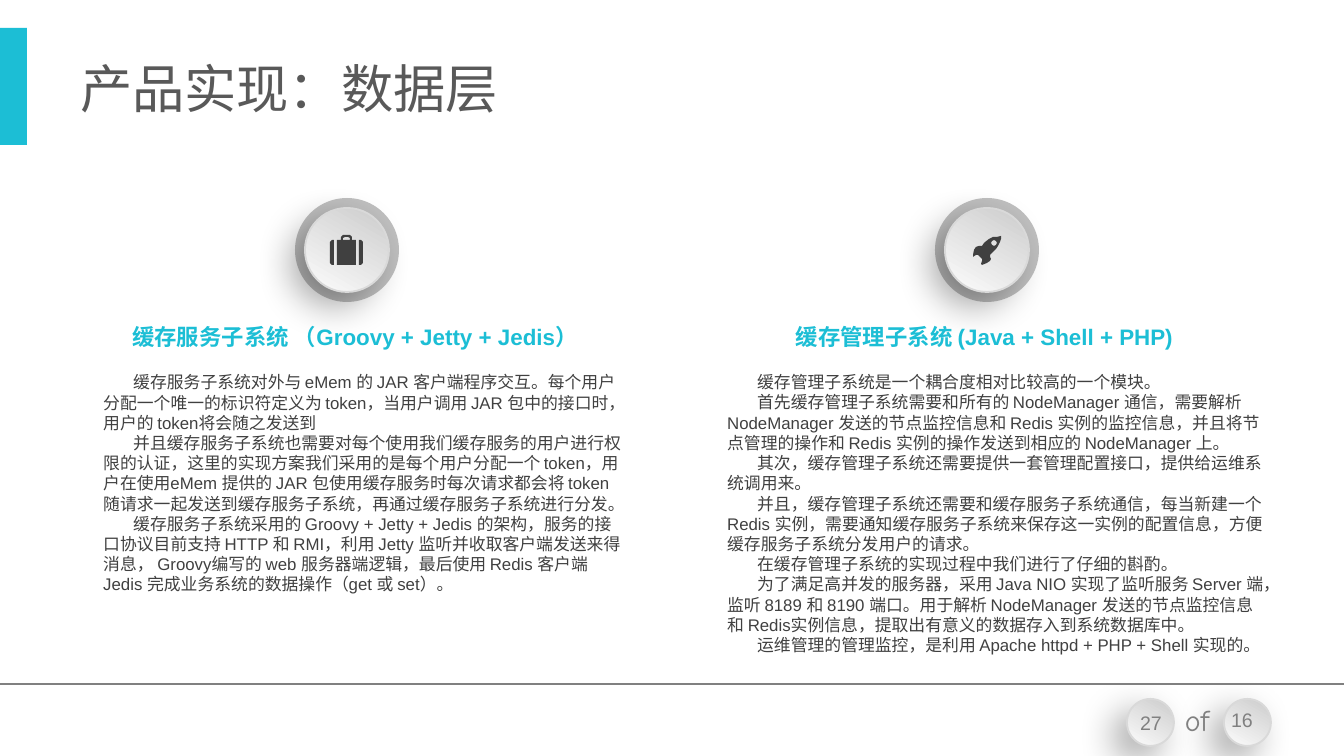
from dataclasses import dataclass

from lxml import etree
from pptx import Presentation
from pptx.dml.color import RGBColor
from pptx.enum.shapes import MSO_CONNECTOR, MSO_SHAPE
from pptx.enum.text import MSO_ANCHOR, PP_ALIGN
from pptx.oxml.ns import qn
from pptx.util import Pt

PX = 914400 / 134.4
OVAL, RECT = MSO_SHAPE.OVAL, MSO_SHAPE.RECTANGLE
STRAIGHT = MSO_CONNECTOR.STRAIGHT
TOP, MIDDLE = MSO_ANCHOR.TOP, MSO_ANCHOR.MIDDLE
LEFT, CENTER, RIGHT = PP_ALIGN.LEFT, PP_ALIGN.CENTER, PP_ALIGN.RIGHT

CYAN = RGBColor(0x1C, 0xBE, 0xD5)
TITLE_GRAY = RGBColor(0x59, 0x59, 0x59)
DARK = RGBColor(0x40, 0x40, 0x40)
MID_GRAY = RGBColor(0x80, 0x80, 0x80)
RING_GRAY = RGBColor(0xBF, 0xBF, 0xBF)
EDGE_GRAY = RGBColor(0xD9, 0xD9, 0xD9)
SHADE = RGBColor(0xCC, 0xCC, 0xCC)
LIGHT = RGBColor(0xFC, 0xFC, 0xFC)

TITLE = dict(name="Arial", size=Pt(28), color=TITLE_GRAY)
HEADING = dict(name="Arial", size=Pt(12), color=CYAN, bold=True)
BODY = dict(name="Arial", size=Pt(9), color=DARK)
NUMBER = dict(name="Arial", size=Pt(10.5), color=MID_GRAY)
OF = dict(name="Comic Neue", size=Pt(16), color=MID_GRAY)

Box = tuple[int, int, int, int]
Contour = list[tuple[int, int]]


@dataclass
class Subsystem:
    center_x: int
    icon: list[Contour]
    heading: str
    heading_box: Box
    paragraphs: list[str]
    body_box: Box


SUITCASE = [
    [(359, 240), (361, 240), (363, 242), (363, 263), (361, 265), (359, 265)],
    [(334, 240), (332, 240), (330, 242), (330, 263), (332, 265), (334, 265)],
    [(337, 240), (341, 240), (341, 237), (343, 235), (350, 235), (352, 237),
     (352, 240), (356, 240), (356, 265), (337, 265)],
    [(343, 240), (343, 238), (345, 237), (348, 237), (350, 238), (350, 240)],
]
ROCKET = [
    [(997, 237), (1001, 236), (1001, 239), (1000, 242), (998, 246), (996, 249),
     (993, 252), (990, 255), (990, 257), (991, 259), (990, 261), (987, 263),
     (982, 265), (981, 264), (982, 261), (982, 259), (978, 255), (976, 255),
     (973, 257), (973, 255), (974, 250), (976, 247), (979, 246), (982, 246),
     (984, 243), (989, 239), (993, 237)],
    [(994, 240), (992, 241), (991, 243), (992, 245), (994, 246), (996, 245),
     (997, 243), (996, 241)],
]

SUBSYSTEMS = [
    Subsystem(
        347, SUITCASE, "缓存服务子系统 （Groovy + Jetty + Jedis）", (101, 317, 508, 40),
        ["缓存服务子系统对外与 eMem 的 JAR 客户端程序交互。每个用户分配一个唯一的标识符定义为 token，"
         "当用户调用 JAR 包中的接口时，用户的 token将会随之发送到",
         "并且缓存服务子系统也需要对每个使用我们缓存服务的用户进行权限的认证，"
         "这里的实现方案我们采用的是每个用户分配一个 token，用户在使用eMem 提供的 JAR 包使用缓存服务时"
         "每次请求都会将 token 随请求一起发送到缓存服务子系统，再通过缓存服务子系统进行分发。",
         "缓存服务子系统采用的 Groovy + Jetty + Jedis 的架构，服务的接口协议目前支持 HTTP 和 RMI，"
         "利用 Jetty 监听并收取客户端发送来得消息， Groovy编写的 web 服务器端逻辑，"
         "最后使用 Redis 客户端 Jedis 完成业务系统的数据操作（get 或 set）。"],
        (90, 372, 546, 250)),
    Subsystem(
        987, ROCKET, "缓存管理子系统 (Java + Shell + PHP)", (778, 317, 413, 40),
        ["缓存管理子系统是一个耦合度相对比较高的一个模块。",
         "首先缓存管理子系统需要和所有的 NodeManager 通信，需要解析NodeManager 发送的节点监控信息和 "
         "Redis 实例的监控信息，并且将节点管理的操作和 Redis 实例的操作发送到相应的 NodeManager 上。",
         "其次，缓存管理子系统还需要提供一套管理配置接口，提供给运维系统调用来。",
         "并且，缓存管理子系统还需要和缓存服务子系统通信，每当新建一个Redis 实例，"
         "需要通知缓存服务子系统来保存这一实例的配置信息，方便缓存服务子系统分发用户的请求。",
         "在缓存管理子系统的实现过程中我们进行了仔细的斟酌。",
         "为了满足高并发的服务器，采用 Java NIO 实现了监听服务 Server 端，监听 8189 和 8190 端口。"
         "用于解析 NodeManager 发送的节点监控信息和 Redis实例信息，提取出有意义的数据存入到系统数据库中。",
         "运维管理的管理监控，是利用 Apache httpd + PHP + Shell 实现的。"],
        (714, 372, 563, 285)),
]


def px(n: float) -> int:
    return round(n * PX)


def add_shape(shapes, kind, box: Box, color: RGBColor | None = None):
    sp = shapes.add_shape(kind, *map(px, box))
    sp.shadow.inherit = False
    sp.line.fill.background()
    if color is not None:
        sp.fill.solid()
        sp.fill.fore_color.rgb = color
    return sp


def add_button(shapes, left: int, top: int, size: int) -> None:
    """Draw a shaded disc that casts a soft shadow to the lower left."""
    sp = add_shape(shapes, OVAL, (left, top, size, size))
    sp.fill.gradient()
    sp.fill.gradient_angle = 240
    for stop, color in zip(sp.fill.gradient_stops, (SHADE, LIGHT)):
        stop.color.rgb = color
    sp.line.color.rgb = EDGE_GRAY
    sp.line.width = Pt(1)
    effects = sp._element.spPr.find(qn("a:effectLst"))
    shadow = etree.SubElement(
        effects, qn("a:outerShdw"), blurRad=str(Pt(20)), dist=str(Pt(10)),
        dir=str(136 * 60000), algn="ctr", rotWithShape="0")
    black = etree.SubElement(shadow, qn("a:srgbClr"), val="000000")
    etree.SubElement(black, qn("a:alpha"), val="34000")


def add_text(shapes, box: Box, paragraphs: list[str], style: dict,
             align=LEFT, anchor=MIDDLE, margin_y: int = 7, indent: int = 0) -> None:
    tf = shapes.add_textbox(*map(px, box)).text_frame
    tf.word_wrap = True
    tf.vertical_anchor = anchor
    tf.margin_top = tf.margin_bottom = px(margin_y)
    for i, text in enumerate(paragraphs):
        p = tf.add_paragraph() if i else tf.paragraphs[0]
        p.alignment = align
        if indent:
            p._p.get_or_add_pPr().set("indent", str(px(indent)))
        r = p.add_run()
        r.text = text
        for key, value in style.items():
            if key == "color":
                r.font.color.rgb = value
            else:
                setattr(r.font, key, value)


def add_icon(shapes, contours: list[Contour]) -> None:
    first, *others = contours
    builder = shapes.build_freeform(*first[0], scale=PX)
    builder.add_line_segments(first[1:], close=True)
    for contour in others:
        builder.move_to(*contour[0])
        builder.add_line_segments(contour[1:], close=True)
    sp = builder.convert_to_shape()
    sp.shadow.inherit = False
    sp.fill.solid()
    sp.fill.fore_color.rgb = DARK
    sp.line.fill.background()


def add_subsystem(shapes, item: Subsystem) -> None:
    add_shape(shapes, OVAL, (item.center_x - 52, 198, 104, 104), RING_GRAY)
    add_button(shapes, item.center_x - 42, 208, 84)
    add_icon(shapes, item.icon)
    add_text(shapes, item.heading_box, [item.heading], HEADING, CENTER)
    add_text(shapes, item.body_box, item.paragraphs, BODY,
             anchor=TOP, margin_y=0, indent=30)


def add_footer(shapes) -> None:
    for left in (1224, 1127):
        add_button(shapes, left, 699, 47)
    add_text(shapes, (1122, 703, 58, 39), ["27"], NUMBER, CENTER)
    add_text(shapes, (1168, 695, 58, 50), ["of"], OF, CENTER)
    add_text(shapes, (953, 700, 313, 40), ["16"], NUMBER, RIGHT)
    rule = shapes.add_connector(STRAIGHT, 0, px(684), px(1344), px(684))
    rule.line.color.rgb = MID_GRAY
    rule.line.width = Pt(1)
    etree.SubElement(rule._element.spPr, qn("a:effectLst"))


def main() -> None:
    prs = Presentation()
    prs.slide_width, prs.slide_height = px(1344), px(756)
    shapes = prs.slides.add_slide(prs.slide_layouts[6]).shapes
    add_footer(shapes)
    add_shape(shapes, RECT, (0, 28, 27, 117), CYAN)
    add_text(shapes, (67, 31, 1210, 114), ["产品实现：数据层"], TITLE)
    for item in SUBSYSTEMS:
        add_subsystem(shapes, item)
    prs.save("out.pptx")


if __name__ == "__main__":
    main()
